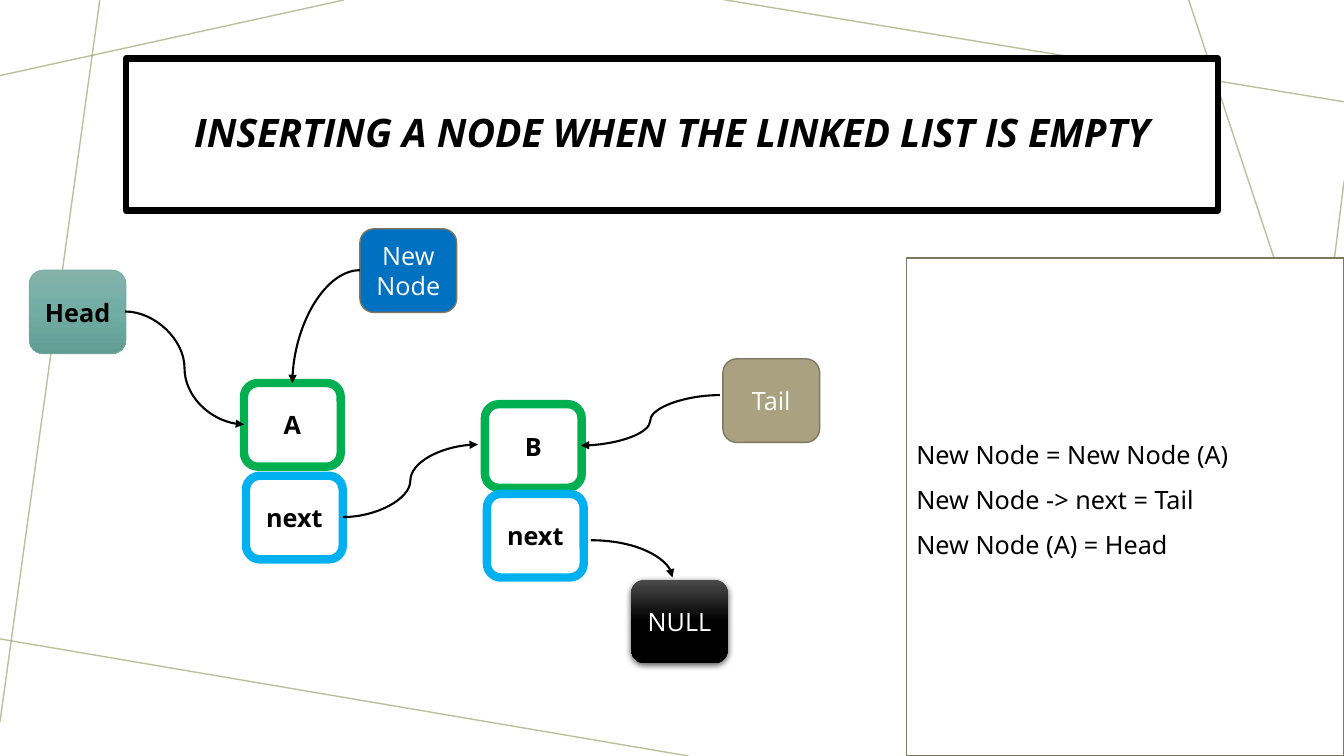
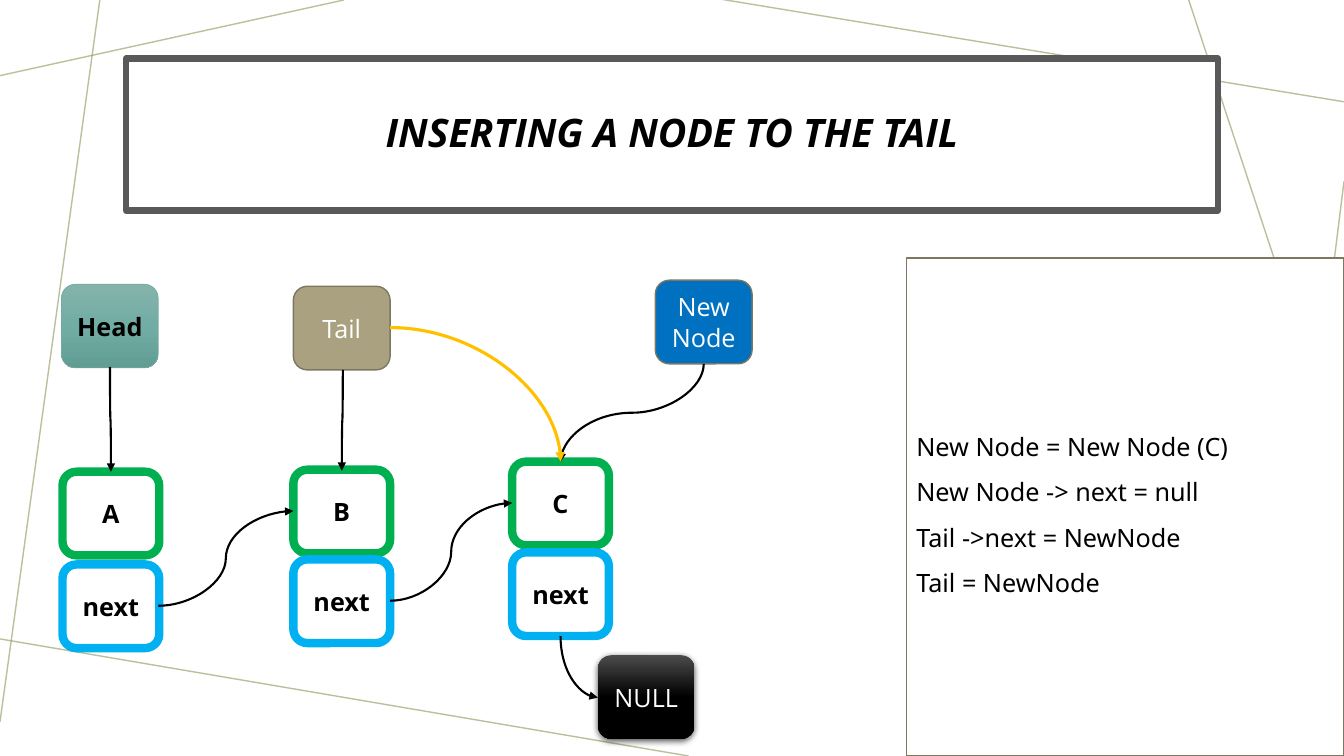
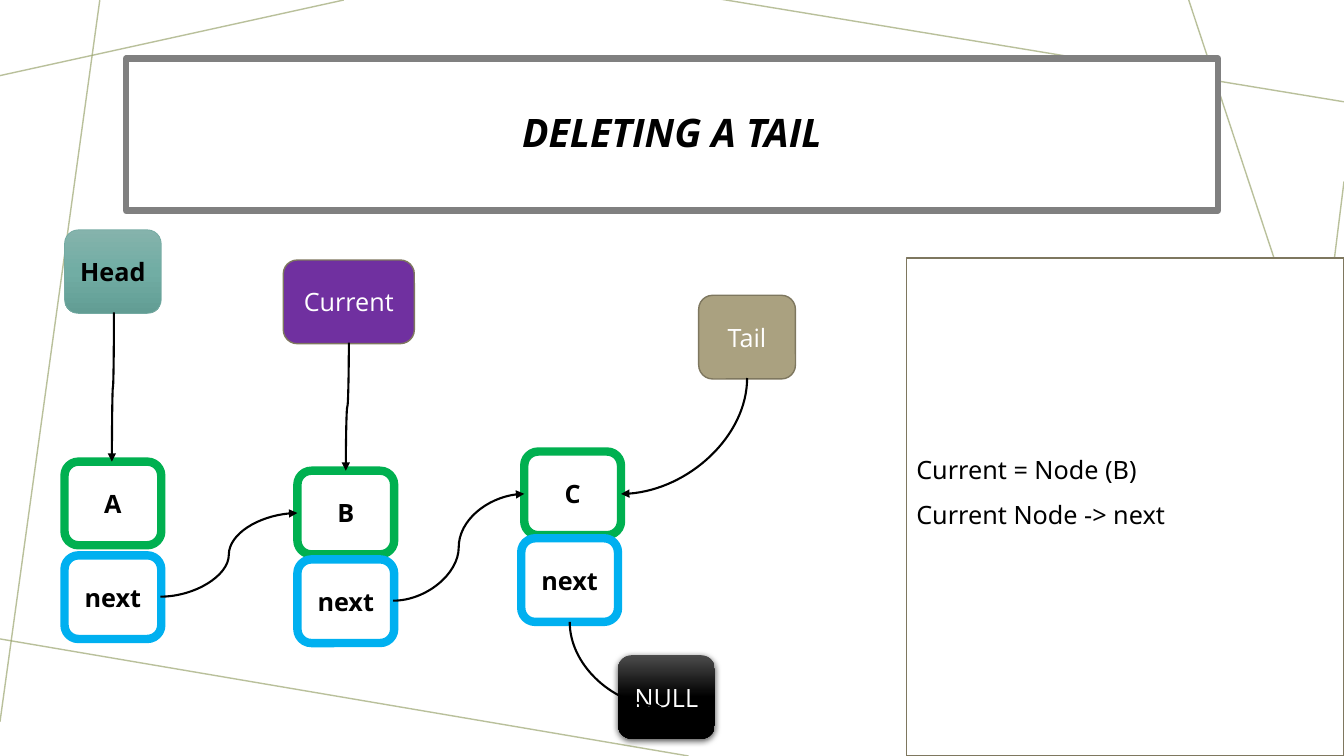
from typing import NamedTuple

from lxml.etree import SubElement
from pptx import Presentation
from pptx.dml.color import RGBColor
from pptx.enum.shapes import MSO_CONNECTOR, MSO_SHAPE
from pptx.enum.text import MSO_ANCHOR, MSO_AUTO_SIZE, PP_ALIGN
from pptx.oxml.ns import qn
from pptx.util import Emu, Pt

# Colours
BLACK = RGBColor(0x00, 0x00, 0x00)
WHITE = RGBColor(0xFF, 0xFF, 0xFF)
DARK = RGBColor(0x59, 0x59, 0x59)
GRAY = RGBColor(0x80, 0x80, 0x80)
OLIVE = RGBColor(0x9C, 0xA6, 0x71)
BROWN = RGBColor(0x7E, 0x77, 0x5F)
SAND = RGBColor(0xAA, 0xA1, 0x80)
GREEN = RGBColor(0x00, 0xB0, 0x50)
SKY = RGBColor(0x00, 0xB0, 0xF0)
BLUE = RGBColor(0x00, 0x70, 0xC0)
PURPLE = RGBColor(0x70, 0x30, 0xA0)
GOLD = RGBColor(0xFF, 0xC0, 0x00)
TEAL = RGBColor(0x74, 0xAA, 0xA2)
TEALS = (RGBColor(0x85, 0xB3, 0xAC), RGBColor(0x71, 0xAD, 0xA4),
         RGBColor(0x62, 0x9D, 0x94))
COALS = (RGBColor(0x4B, 0x4B, 0x4B), BLACK, BLACK)

# Sizes: 100 px to the inch
SCALE = 9144
WIDE, HIGH = 1333, 750
BOX_W, BOX_H = 96, 83
FONT, CODE = "Open Sans", "Noto Sans"
RULES = [(341, 0, 0, 75), (99, 0, 0, 716), (683, 750, -5, 633),
         (1333, 640, 926, 750), (1333, 180, 1262, 750),
         (1333, 466, 1179, 0), (1333, 101, 714, -1)]


class Look(NamedTuple):
    fill: object  # one colour, or three for a gradient
    edge: RGBColor = BROWN
    width: float = 1
    ink: RGBColor = WHITE
    bold: bool = False
    glow: bool = False


HEAD = Look(TEALS, TEAL, 0.5, BLACK, True)
DATA = Look(WHITE, GREEN, 6, BLACK, True)
NEXT = Look(WHITE, SKY, 6, BLACK, True)
TAIL = Look(SAND)
NEW = Look(BLUE)
NOW = Look(PURPLE)
NULL = Look(COALS, None, glow=True)
PANEL = Look(WHITE, ink=BLACK)


def px(*sizes):
    return [Emu(round(size * SCALE)) for size in sizes]


class Deck:
    def __init__(self):
        self.prs = Presentation()
        self.prs.slide_width, self.prs.slide_height = px(WIDE, HIGH)
        self.layout = self.prs.slide_layouts[5]
        self.slide = None

    def start(self, title, edge):
        """Add a slide with its framed title."""
        first = self.slide is None
        self.slide = self.prs.slides.add_slide(self.layout)
        if first:
            self.rules()
        head = self.slide.shapes.title
        head.left, head.top, head.width, head.height = px(125, 58, 1083, 151)
        self.paint(head, Look(WHITE, edge, 4.5))
        frame = head.text_frame
        frame.text = title
        frame.auto_size = MSO_AUTO_SIZE.NONE
        self.type(frame, FONT, 28, BLACK, True, PP_ALIGN.CENTER, 0.9)
        frame.paragraphs[0].runs[0].font.italic = True

    def rules(self):
        """Put the background lines on the shared layout."""
        for ends in RULES:
            line = self.line(MSO_CONNECTOR.STRAIGHT, ends, OLIVE, 1)
            tint = line.line.fill.fore_color and line.element.spPr.find(
                ".//" + qn("a:srgbClr"))
            SubElement(tint, qn("a:alpha"), val="70000")
            self.layout.shapes.element.append(line.element)

    def paint(self, shape, look):
        """Set fill, edge and shadow."""
        if isinstance(look.fill, RGBColor):
            shape.fill.solid()
            shape.fill.fore_color.rgb = look.fill
        else:
            shape.fill.gradient()
            shape.fill.gradient_angle = 270
            stops = shape.element.spPr.find(".//" + qn("a:gsLst"))
            for old in list(stops):
                stops.remove(old)
            for place, tone in zip((0, 50000, 100000), look.fill):
                stop = SubElement(stops, qn("a:gs"), pos=str(place))
                SubElement(stop, qn("a:srgbClr"), val=str(tone))
        if look.edge is None:
            shape.line.fill.background()
        else:
            shape.line.color.rgb = look.edge
            shape.line.width = Pt(look.width)
        if hasattr(shape, "shadow"):
            shape.shadow.inherit = False
        if look.glow:
            glow = SubElement(
                shape.element.spPr.find(qn("a:effectLst")),
                qn("a:outerShdw"), blurRad="57150", dist="19050",
                dir="5400000", algn="ctr", rotWithShape="0")
            tint = SubElement(glow, qn("a:srgbClr"), val=str(BLACK))
            SubElement(tint, qn("a:alpha"), val="63000")

    def type(self, frame, font, size, ink, bold, align, space=None):
        """Format all the text of a frame."""
        frame.word_wrap = True
        frame.vertical_anchor = MSO_ANCHOR.MIDDLE
        for para in frame.paragraphs:
            para.alignment = align
            para.line_spacing = space
            for run in para.runs:
                run.font.name = font
                run.font.size = Pt(size)
                run.font.bold = bold
                run.font.color.rgb = ink

    def box(self, text, x, y, look, width=BOX_W):
        shape = self.slide.shapes.add_shape(
            MSO_SHAPE.ROUNDED_RECTANGLE, *px(x, y, width, BOX_H))
        self.paint(shape, look)
        shape.text_frame.text = text
        self.type(shape.text_frame, FONT, 18, look.ink, look.bold,
                  PP_ALIGN.CENTER)

    def node(self, name, x, y, drop, shift=0):
        """Draw a data box with its next box below."""
        self.box(name, x, y, DATA)
        self.box("next", x + shift, y + drop, NEXT)

    def panel(self, lines, foot=5):
        shape = self.slide.shapes.add_shape(
            MSO_SHAPE.RECTANGLE, *px(899, 256, 434, 494))
        self.paint(shape, PANEL)
        frame = shape.text_frame
        frame.text = "\n".join(lines)
        frame.margin_bottom = px(foot)[0]
        self.type(frame, CODE, 18, PANEL.ink, False, PP_ALIGN.LEFT, 1.5)

    def line(self, kind, ends, tone, width):
        line = self.slide.shapes.add_connector(kind, *px(*ends))
        line.line.color.rgb = tone
        line.line.width = Pt(width)
        SubElement(line.element.spPr, qn("a:effectLst"))
        return line

    def link(self, x1, y1, x2, y2, down=False, bend=False,
             tone=BLACK, width=1.5):
        """Draw a curved arrow: an S, or one bend; down if it leaves down."""
        if down:
            turns = 1 if x2 < x1 else 3
        else:
            turns = 2 if x2 < x1 else 0
        # Turn the ends back about the middle, as the frame is turned later
        mid_x, mid_y = (x1 + x2) / 2, (y1 + y2) / 2
        u, v = x1 - mid_x, y1 - mid_y
        for _ in range(turns):
            u, v = v, -u
        ends = (mid_x + u, mid_y + v, mid_x - u, mid_y - v)
        line = self.line(MSO_CONNECTOR.CURVE, ends, tone, width)
        props = line.element.spPr
        if turns:
            props.find(qn("a:xfrm")).set("rot", str(turns * 5400000))
        if bend:
            props.find(qn("a:prstGeom")).set("prst", "curvedConnector2")
        SubElement(props.find(qn("a:ln")), qn("a:tailEnd"), type="triangle")


def empty(deck):
    deck.start("INSERTING A NODE WHEN THE LINKED LIST IS EMPTY", BLACK)
    deck.box("Head", 29, 268, HEAD)
    deck.box("New Node", 357, 227, NEW)
    deck.box("Tail", 717, 356, TAIL)
    deck.box("NULL", 626, 575, NULL)
    deck.node("A", 242, 380, 92, 2)
    deck.node("B", 481, 401, 89, 2)
    deck.link(340, 513, 474, 441)
    deck.link(586, 536, 667, 573, bend=True)
    deck.link(714, 392, 576, 442)
    deck.link(124, 309, 242, 421)
    deck.link(357, 268, 290, 380, bend=True)
    deck.panel(["New Node = New Node (A)", "New Node -> next = Tail",
                "New Node (A) = Head"], 35)


def insert(deck):
    deck.start("INSERTING A NODE TO THE TAIL", DARK)
    deck.box("Head", 61, 282, HEAD)
    deck.box("Tail", 291, 284, TAIL)
    deck.box("New Node", 650, 278, NEW)
    deck.box("NULL", 593, 650, NULL)
    deck.node("A", 62, 468, 92)
    deck.node("B", 291, 466, 89)
    deck.node("C", 508, 458, 90)
    deck.link(157, 601, 291, 507)
    deck.link(387, 596, 508, 499)
    deck.link(698, 361, 556, 458, down=True)
    deck.link(556, 631, 593, 692, down=True, bend=True)
    deck.link(387, 325, 556, 458, bend=True, tone=GOLD, width=2.25)
    deck.link(340, 367, 339, 467, down=True)
    deck.link(109, 364, 110, 468, down=True)
    deck.panel(["New Node = New Node (C)", "New Node -> next = null",
                "Tail ->next = NewNode", "Tail = NewNode"])


def delete(deck):
    deck.start("DELETING A TAIL", GRAY)
    deck.box("Head", 64, 228, HEAD)
    deck.box("Current", 281, 258, NOW, 130)
    deck.box("Tail", 693, 293, TAIL)
    deck.box("NULL", 613, 650, NULL)
    deck.node("A", 64, 458, 93)
    deck.node("B", 295, 467, 88)
    deck.node("C", 520, 448, 86, -3)
    deck.link(159, 592, 295, 509)
    deck.link(390, 596, 520, 490)
    deck.link(741, 375, 616, 490, down=True, bend=True)
    deck.link(565, 617, 656, 701, down=True, bend=True)
    deck.link(113, 310, 111, 458, down=True)
    deck.link(346, 340, 343, 467, down=True)
    deck.panel(["Current = Node (B)", "Current Node -> next"], 50)


def main():
    deck = Deck()
    for draw in (empty, insert, delete):
        draw(deck)
    deck.prs.save("out.pptx")


if __name__ == "__main__":
    main()
